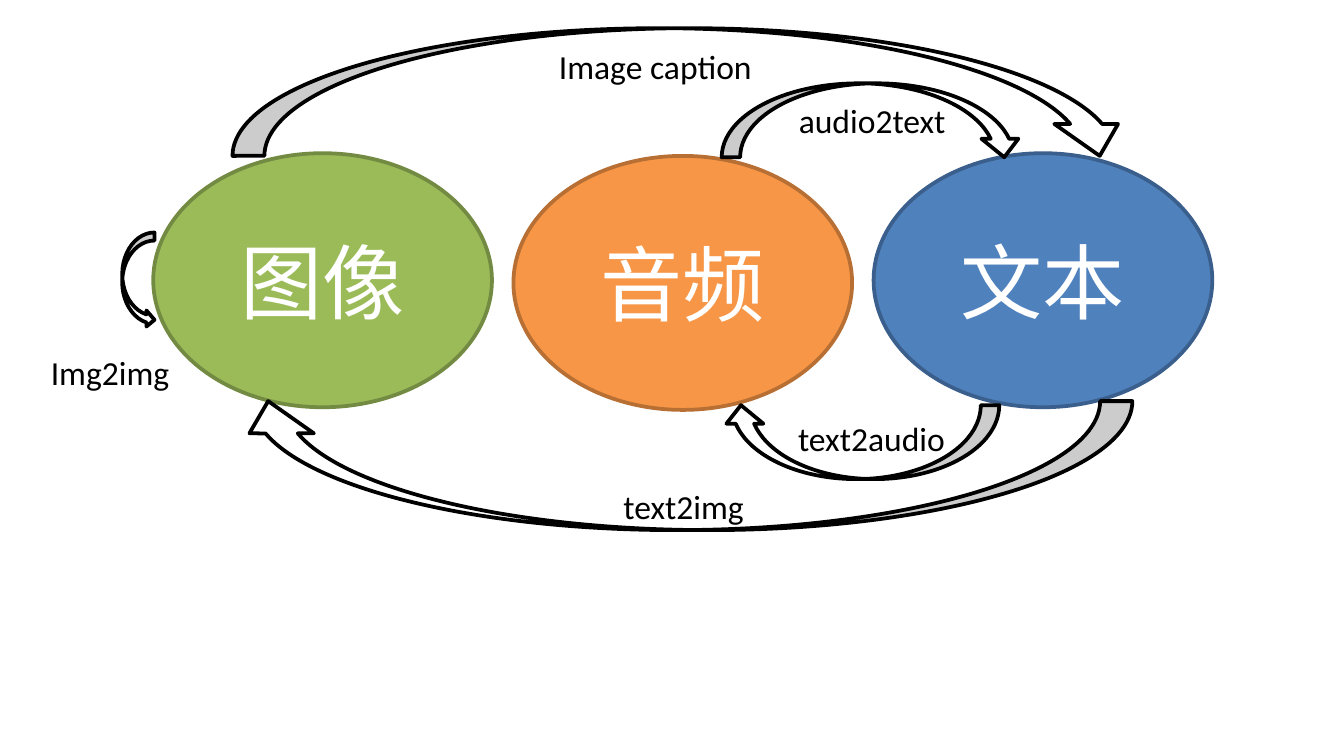
from pptx import Presentation
from pptx.dml import color
from pptx.enum import shapes, text
from pptx.util import Inches, Pt

KIND = shapes.MSO_SHAPE
MODALITIES = [
    ("图像", 1.14, 1.14, "9BBB59", "738A42"),
    ("音频", 3.82, 1.16, "F79646", "B76F34"),
    ("文本", 6.5, 1.14, "4F81BD", "3A5F8C"),
]


def rgb(value):
    """Turn a hex string into a colour."""
    return color.RGBColor.from_string(value)


def write(frame, wording, size, ink, align):
    """Put one formatted line of text into a frame."""
    paragraph = frame.paragraphs[0]
    paragraph.alignment = align
    run = paragraph.add_run()
    run.text = wording
    for name, value in {"name": "Calibri", "size": Pt(size)}.items():
        setattr(run.font, name, value)
    run.font.color.rgb = rgb(ink)


def add_outlined(slide, kind, box, fill, outline, wording="", size=18, ink="000000", turn=0):
    """Add a filled, outlined shape with optional centred text."""
    shape = slide.shapes.add_shape(kind, *map(Inches, box))
    shape.rotation = turn
    shape.shadow.inherit = False
    shape.fill.solid()
    shape.fill.fore_color.rgb = rgb(fill)
    shape.line.color.rgb = rgb(outline)
    shape.line.width = Pt(2)
    if wording:
        shape.text_frame.vertical_anchor = text.MSO_ANCHOR.MIDDLE
        write(shape.text_frame, wording, size, ink, text.PP_ALIGN.CENTER)


def add_modality(slide, wording, left, top, fill, outline):
    """Add the ellipse of one modality."""
    add_outlined(slide, KIND.OVAL, (left, top, 2.52, 1.89), fill, outline, wording, 44, "FFFFFF")


def add_arrow(slide, kind, box, wording="", turn=0):
    """Add a white curved arrow."""
    add_outlined(slide, kind, box, "FFFFFF", "000000", wording, turn=turn)


def add_label(slide, wording, left, top, width):
    """Add a one-line label that fits its text."""
    frame = slide.shapes.add_textbox(*map(Inches, (left, top, width, 0.4))).text_frame
    settings = {"word_wrap": False, "auto_size": text.MSO_AUTO_SIZE.SHAPE_TO_FIT_TEXT}
    for name, value in settings.items():
        setattr(frame, name, value)
    write(frame, wording, 18, "000000", text.PP_ALIGN.LEFT)


def main():
    """Build the slide of conversions between modalities."""
    deck = Presentation()
    deck.slide_width, deck.slide_height = Inches(10), Inches(10 * 9 / 16)
    slide = deck.slides.add_slide(deck.slide_layouts[6])
    for modality in MODALITIES:
        add_modality(slide, *modality)
    add_arrow(slide, KIND.CURVED_DOWN_ARROW, (5.37, 0.62, 2.24, 0.55), "audio2text")
    add_arrow(slide, KIND.CURVED_LEFT_ARROW, (6.13, 2.26, 0.55, 2.06), turn=90)
    add_label(slide, "text2audio", 5.84, 3.06, 1.31)
    add_arrow(slide, KIND.CURVED_DOWN_ARROW, (1.73, 0.21, 6.69, 0.95))
    add_label(slide, "Image caption", 4.06, 0.29, 1.65)
    add_arrow(slide, KIND.CURVED_LEFT_ARROW, (4.61, 0.13, 0.96, 6.67), turn=90)
    add_label(slide, "text2img", 4.54, 3.57, 1.11)
    add_arrow(slide, KIND.CURVED_RIGHT_ARROW, (0.91, 1.73, 0.24, 0.71))
    add_label(slide, "Img2img", 0.28, 2.57, 1.09)
    deck.save("out.pptx")


if __name__ == "__main__":
    main()
